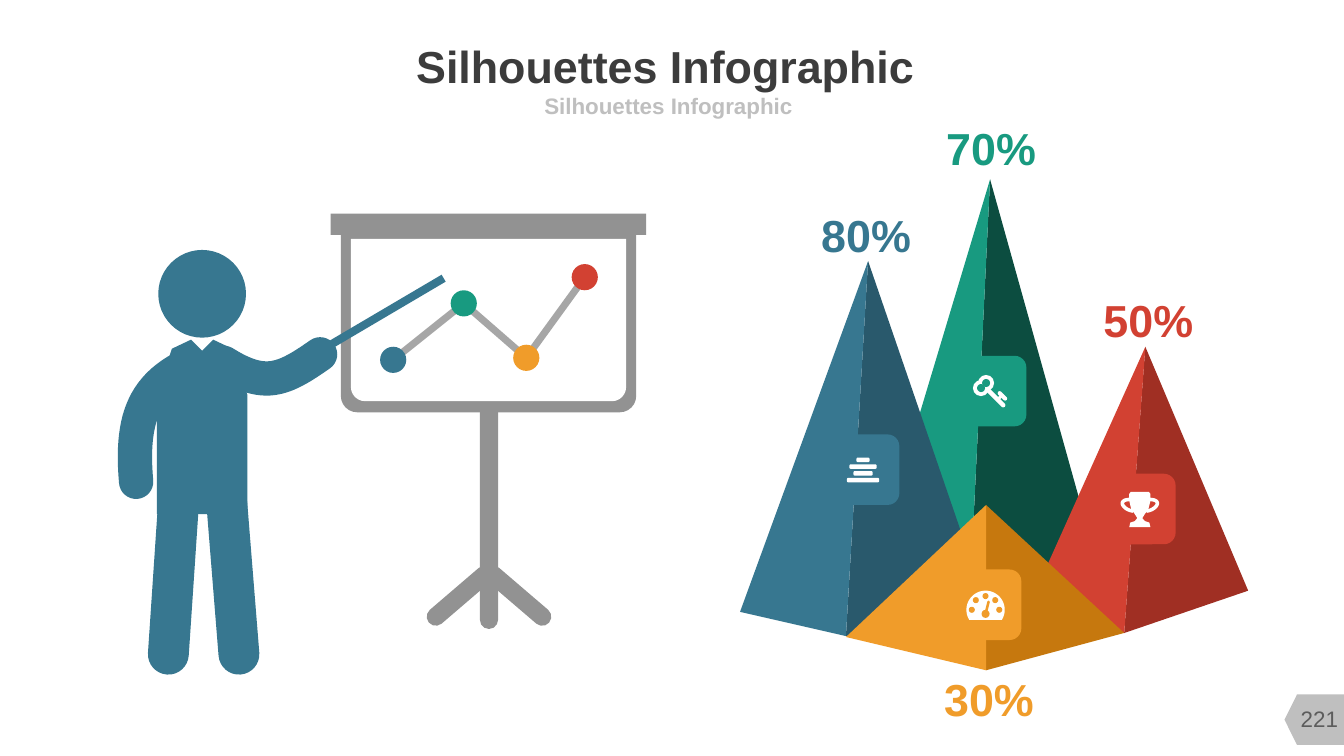
"""Build the Silhouettes Infographic slide on a grid of 1333 columns by 750 rows."""
from math import comb, cos, radians, sin

from lxml.etree import SubElement
from pptx import Presentation
from pptx.dml.color import RGBColor
from pptx.enum.shapes import MSO_CONNECTOR, MSO_SHAPE
from pptx.enum.text import MSO_ANCHOR, PP_ALIGN
from pptx.oxml.ns import qn
from pptx.util import Inches, Pt

BLUE, GREEN, ORANGE, RED = "377790", "189A80", "F09C2A", "D24132"
GREY, SILVER, WHITE = "929292", "BFBFBF", "FFFFFF"
RECT, ROUND, OVAL = MSO_SHAPE.RECTANGLE, MSO_SHAPE.ROUNDED_RECTANGLE, MSO_SHAPE.OVAL
SCREEN, PAGE_TAG = MSO_SHAPE.ROUND_2_SAME_RECTANGLE, MSO_SHAPE.FLOWCHART_OFFPAGE_CONNECTOR
U = Inches(0.01)

prs = Presentation()
prs.slide_width, prs.slide_height = 1333 * U, 750 * U
s = prs.slides.add_slide(prs.slide_layouts[1])
shapes = s.shapes


def block(kind, x, y, w, h, color, turn=0, adjust=()):
    """Add a preset shape, or a polygon when kind is a list of corners around (x, y)."""
    if isinstance(kind, list):
        points = [((x + dx) * U, (y + dy) * U) for dx, dy in kind]
        builder = shapes.build_freeform(*points[0])
        builder.add_line_segments(points[1:], close=True)
        sp = builder.convert_to_shape()
    else:
        sp = shapes.add_shape(kind, *[int(v * U) for v in (x, y, w, h)])
        sp.rotation = turn
        for i, value in enumerate(adjust):
            sp.adjustments[i] = value
    sp.fill.solid()
    sp.fill.fore_color.rgb = RGBColor.from_string(color)
    sp.line.fill.background()
    sp.shadow.inherit = False


def stroke(points, width, color, cap="rnd"):
    """Draw a line between two points, or a Bezier curve guided by more."""
    if len(points) == 2:
        sp = shapes.add_connector(MSO_CONNECTOR.STRAIGHT, *[int(v * U) for xy in points for v in xy])
    else:
        n, steps = len(points) - 1, 24
        weights = [[comb(n, k) * (i / steps) ** k * (1 - i / steps) ** (n - k) for k in range(n + 1)]
                   for i in range(steps + 1)]
        path_points = [[sum(w * xy[axis] for w, xy in zip(row, points)) * U for axis in (0, 1)]
                       for row in weights]
        builder = shapes.build_freeform(*path_points[0])
        builder.add_line_segments(path_points[1:], close=False)
        sp = builder.convert_to_shape()
        sp.fill.background()
    sp.line.width = int(width * U)
    sp.line.color.rgb = RGBColor.from_string(color)
    spPr = sp._element.spPr
    spPr.find(qn("a:ln")).set("cap", cap)
    SubElement(spPr, qn("a:effectLst"))


block(PAGE_TAG, 1280, 683, 50, 62, SILVER, turn=90)

# Flip chart
board_x = 485
block(ROUND, board_x - 9, 333, 18, 291, GREY, adjust=[0.5])
for side in (1, -1):
    block(ROUND, board_x + side * 28.5 - 9, 550, 18, 82, GREY, turn=-49.4 * side, adjust=[0.5])
block(SCREEN, 338, 222, 293, 187, GREY, turn=180, adjust=[0.087, 0])
block(RECT, 328, 212, 313, 21, GREY)
block(SCREEN, 348, 237, 273, 161, WHITE, turn=180, adjust=[0.087, 0])

# Line chart on the board
dots = [(390, 357, BLUE), (460, 301, GREEN), (522, 355, ORANGE), (580, 275, RED)]
for start, end in zip(dots, dots[1:]):
    stroke([start[:2], end[:2]], 7, "A6A6A6")
for x, y, color in dots:
    block(OVAL, x - 13, y - 13, 26, 26, color)

# Presenter: half outlines are mirrored around the body axis
body_x = 200.5
half_torso = [(0, 348), (11, 337), (30, 346), (45, 392), (45, 510)]
half_tie = [(0.5, 350), (10.5, 420), (0.5, 434)]
left_arm = [(185, 363), (140, 385), (130, 420), (135, 478)]
right_arm = [(222, 360), (262, 385), (280, 378), (317.5, 351.5)]
left_leg, right_leg = [(177, 500), (167, 649)], [(225, 500), (237, 649)]
pointer = [(328, 342), (440, 276)]

stroke(pointer, 8, BLUE, cap="flat")
for half in (half_torso, half_tie):
    block(half + [(-dx, y) for dx, y in reversed(half)], body_x, 0, 0, 0, BLUE)
for limb, width in [(left_arm, 34), (right_arm, 34), (left_leg, 40.5), (right_leg, 40.5)]:
    stroke(limb, width, BLUE)
block(OVAL, 157, 248, 87, 87, BLUE)

# Pyramids: apex, foot of the ridge, left and right corners, light and dark face
pyramids = [
    ((982, 178), (960, 631), (855, 601), (1098, 594), GREEN, "0C4D40"),
    ((1136, 344), (1115, 628), (1017, 609), (1238, 586), RED, "A02F23"),
    ((861, 259), (839, 631), (734, 607), (978, 600), BLUE, "29596C"),
    ((978, 501), (978, 665), (839, 632), (1115, 628), ORANGE, "C6780E"),
]
for apex, foot, left, right, light, dark in pyramids:
    block([apex, foot, right], 0, 0, 0, 0, dark)
    block([apex, foot, left], 0, 0, 0, 0, light)

tiles = [(820, 431, BLUE), (946, 353, GREEN), (941, 565, ORANGE), (1094, 470, RED)]
for x, y, color in tiles:
    block(ROUND, x, y, 72, 70, color)

# Stack icon
for row, width in enumerate([13, 27, 19, 32]):
    block(ROUND, 856 - width / 2, 454 + 6.7 * row, width, 4.5, WHITE, adjust=[0.3])

# Key icon: two overlapping rings, then shaft, link and bit
rings = [(978, 380), (973, 385)]
for radius, color in [(8, WHITE), (4, GREEN)]:
    for x, y in rings:
        block(OVAL, x - radius, y - radius, 2 * radius, 2 * radius, color)
shaft, link, bit = [(981, 388), (995, 402)], [(989, 397), (994, 392)], [(991.5, 390), (997, 395.5)]
for line, width in [(shaft, 4.5), (link, 3), (bit, 4)]:
    stroke(line, width, WHITE)

# Gauge icon: a dial cut off below, five marks and a needle
dial_x, dial_y = 977.5, 605
dial = [(19 * cos(radians(a)), -19 * sin(radians(a))) for a in range(-32, 213, 4)]
block(dial, dial_x, dial_y, 0, 0, WHITE)
for angle in range(0, 181, 45):
    x, y = dial_x + 13.6 * cos(radians(angle)), dial_y - 13.6 * sin(radians(angle))
    block(OVAL, x - 3, y - 3, 6, 6, ORANGE)
block(OVAL, dial_x - 4, dial_y, 8, 8, ORANGE)
stroke([(dial_x, dial_y + 4), (dial_x + 3, dial_y - 8)], 2.5, ORANGE)

# Trophy icon: half a cup and one handle, mirrored
cup_x = 1130.5
half_cup = [(9, 488), (10.5, 490), (10.5, 497), (8.5, 505), (5, 510), (2.5, 514),
            (5, 517), (9.5, 518.5), (10.5, 523)]
handle = [(9, 495.5), (24, 495.5), (16, 506), (7, 507)]
block(half_cup + [(-dx, y) for dx, y in reversed(half_cup)], cup_x, 0, 0, 0, WHITE)
for side in (1, -1):
    stroke([(cup_x + side * dx, y) for dx, y in handle], 3.5, WHITE)

# Title, subtitle, page number and percentages
title, subtitle = shapes.title, s.placeholders[1]
MIDDLE, BOTTOM = MSO_ANCHOR.MIDDLE, MSO_ANCHOR.BOTTOM
texts = [
    (title, "Silhouettes Infographic", 249, 39, 822, 52, 32, "3C3C3C", MIDDLE),
    (subtitle, "Silhouettes Infographic", 363, 90, 600, 29, 16, SILVER, MIDDLE),
    (None, "221", 1275, 693, 67, 40, 16, "5C5C5C", MIDDLE),
]
percentages = [("80%", 814, 205, BLUE), ("50%", 1094, 290, RED),
               ("70%", 938, 119, GREEN), ("30%", 936, 666, ORANGE)]
texts += [(None, text, x, y, 90, 54, 32, color, BOTTOM) for text, x, y, color in percentages]
for holder, text, x, y, w, h, size, color, anchor in texts:
    sp = holder or shapes.add_textbox(0, 0, U, U)
    sp.left, sp.top, sp.width, sp.height = x * U, y * U, w * U, h * U
    tf = sp.text_frame
    tf.text = text
    tf.word_wrap = sp is subtitle
    tf.vertical_anchor = anchor
    tf.margin_left = tf.margin_top = tf.margin_right = tf.margin_bottom = 0
    p = tf.paragraphs[0]
    p.alignment = PP_ALIGN.CENTER
    p.space_before = Pt(0)
    if sp is subtitle:
        pPr = p._p.get_or_add_pPr()
        pPr.set("marL", "0")
        pPr.set("indent", "0")
        SubElement(pPr, qn("a:buNone"))
    r = p.runs[0]
    r.font.name, r.font.size, r.font.bold = "Arial", Pt(size), text != "221"
    r.font.color.rgb = RGBColor.from_string(color)

prs.save("out.pptx")
